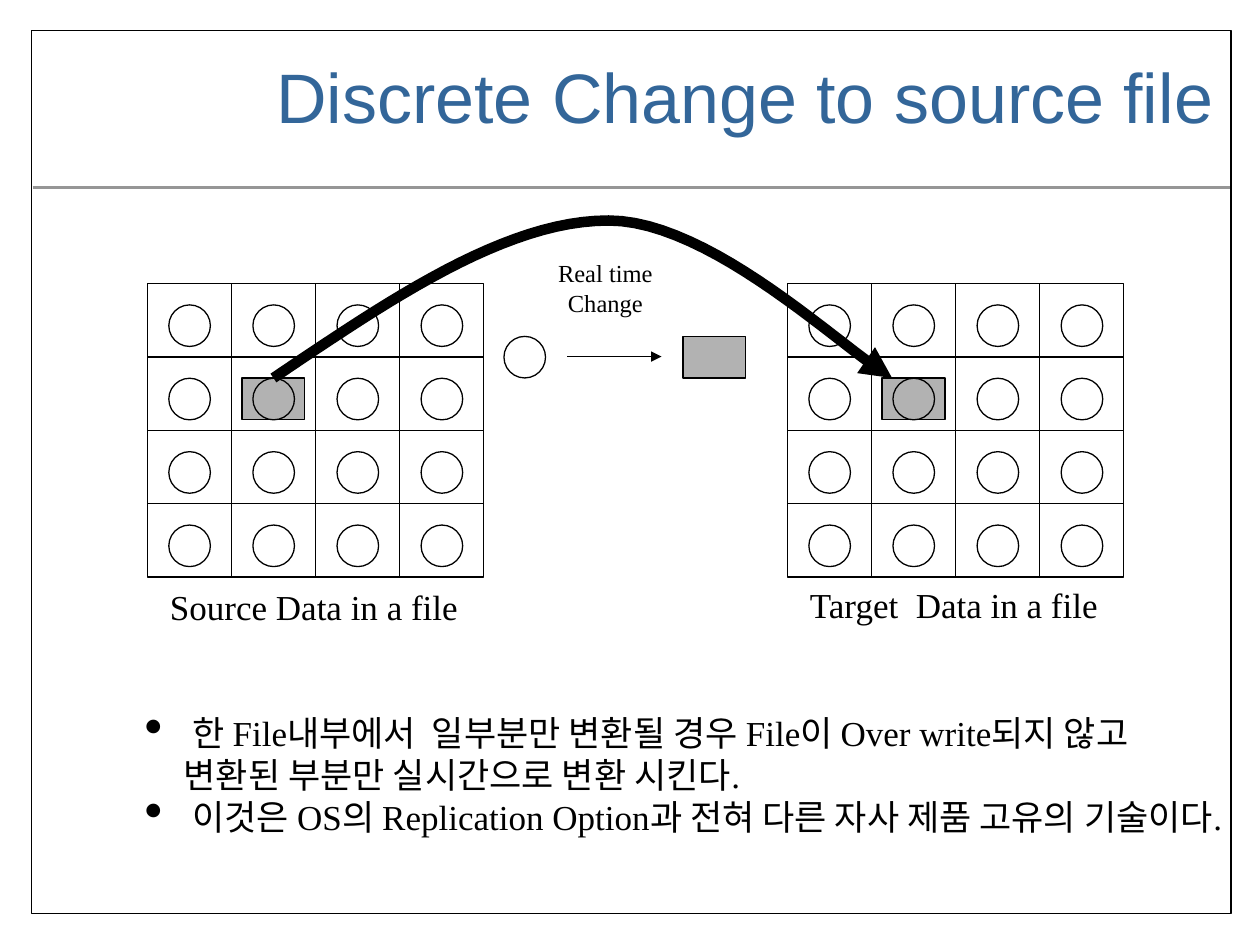
import pptx
import pptx.dml.color
import pptx.enum.shapes
import pptx.enum.text
import pptx.oxml
import pptx.oxml.ns
import pptx.util
from pptx.util import Inches

SHAPES = pptx.enum.shapes.MSO_SHAPE
ALIGN = pptx.enum.text.PP_ALIGN
ANCHOR = pptx.enum.text.MSO_ANCHOR
BLACK, GRAY, BLUE, RULE = "000000", "B2B2B2", "336699", "969696"
SERIF = "Times New Roman"
GRID_WIDTH, GRID_HEIGHT, CELLS = 2.67, 2.33, 4
CIRCLE = 0.33
MARK_WIDTH = 0.5
CURVE_STEPS = 24


def rgb(value):
    return pptx.dml.color.RGBColor.from_string(value)


def add_xml(parent, tag, **attributes):
    element = pptx.oxml.ns.qn(tag)
    child = parent.makeelement(element, attributes)
    parent.append(child)
    return child


def style_line(shape, color=BLACK, width=0.75, arrow=False):
    shape.line.color.rgb = rgb(color)
    shape.line.width = pptx.util.Pt(width)
    if arrow:
        add_xml(shape.line._get_or_add_ln(), "a:tailEnd", type="triangle")


def add_outline(shapes, kind, left, top, width, height, fill=None):
    shape = shapes.add_shape(kind, Inches(left), Inches(top), Inches(width), Inches(height))
    shape.shadow.inherit = False
    if fill:
        shape.fill.solid()
        shape.fill.fore_color.rgb = rgb(fill)
    else:
        shape.fill.background()
    style_line(shape)
    return shape


def add_line(shapes, start, end, color=BLACK, width=0.75, arrow=False):
    line = shapes.add_connector(
        pptx.enum.shapes.MSO_CONNECTOR.STRAIGHT,
        Inches(start[0]), Inches(start[1]), Inches(end[0]), Inches(end[1]))
    style_line(line, color, width, arrow)
    add_xml(line._element.spPr, "a:effectLst")
    return line


def add_text(shapes, left, top, width, height, lines, size, font=SERIF, color=BLACK,
             align=ALIGN.LEFT, wrap=False):
    box = shapes.add_textbox(Inches(left), Inches(top), Inches(width), Inches(height))
    frame = box.text_frame
    frame.word_wrap = wrap
    for index, line in enumerate(lines):
        para = frame.paragraphs[0] if index == 0 else frame.add_paragraph()
        para.alignment = align
        span = para.add_run()
        span.text = line
        span.font.size = pptx.util.Pt(size)
        span.font.name = font
        span.font.color.rgb = rgb(color)
    return box


def indent_paragraph(para, margin, bullet):
    properties = para._p.get_or_add_pPr()
    properties.set("marL", str(Inches(margin)))
    properties.set("indent", str(-Inches(margin) if bullet else 0))
    if bullet:
        color = add_xml(properties, "a:buClr")
        add_xml(color, "a:srgbClr", val=BLACK)
        add_xml(properties, "a:buSzPct", val="150000")
        add_xml(properties, "a:buChar", char="•")


def add_data_grid(slide, left, top):
    shapes = slide.shapes.add_group_shape().shapes
    cell_width, cell_height = GRID_WIDTH / CELLS, GRID_HEIGHT / CELLS
    right, bottom = left + GRID_WIDTH, top + GRID_HEIGHT
    add_outline(shapes, SHAPES.RECTANGLE, left + 0.75, top + 0.75, MARK_WIDTH, CIRCLE, GRAY)
    add_outline(shapes, SHAPES.RECTANGLE, left, top, GRID_WIDTH, GRID_HEIGHT)
    for index in range(1, CELLS):
        x, y = left + index * cell_width, top + index * cell_height
        add_line(shapes, (left, y), (right, y))
        add_line(shapes, (x, top), (x, bottom))
    for row in range(CELLS):
        for column in range(CELLS):
            add_outline(shapes, SHAPES.OVAL, left + 0.17 + column * cell_width,
                        top + 0.17 + row * cell_height, CIRCLE, CIRCLE)


def bezier_points(start, first, second, end):
    for step in range(1, CURVE_STEPS + 1):
        t = step / CURVE_STEPS
        weights = ((1 - t) ** 3, 3 * t * (1 - t) ** 2, 3 * t * t * (1 - t), t ** 3)
        corners = (start, first, second, end)
        yield tuple(Inches(sum(w * corner[axis] for w, corner in zip(weights, corners)))
                    for axis in (0, 1))


def add_curved_arrow(slide):
    start, peak, end = (2.17, 3), (4.83, 1.75), (7.08, 3)
    builder = slide.shapes.build_freeform(Inches(start[0]), Inches(start[1]))
    points = [*bezier_points(start, (3.09, 2.38), (4.01, 1.75), peak),
              *bezier_points(peak, (5.65, 1.75), (6.71, 2.79), end)]
    builder.add_line_segments(points, close=False)
    curve = builder.convert_to_shape()
    curve.shadow.inherit = False
    curve.fill.background()
    style_line(curve, width=6, arrow=True)


def add_title(slide):
    box = add_text(slide.shapes, 1.66, 0.47, 8.5, 0.68, ["Discrete Change to source file"],
                   40, "Arial", BLUE, ALIGN.CENTER, True)
    box.text_frame.vertical_anchor = ANCHOR.MIDDLE
    box.text_frame.paragraphs[0].line_spacing = 0.85


def add_legend(slide):
    shapes = slide.shapes
    add_text(shapes, 4.33, 2, 0.95, 0.57, ["Real time", "Change"], 14, align=ALIGN.CENTER)
    add_outline(shapes, SHAPES.OVAL, 4, 2.67, CIRCLE, CIRCLE)
    add_outline(shapes, SHAPES.RECTANGLE, 5.42, 2.67, MARK_WIDTH, CIRCLE, GRAY)
    add_line(shapes, (4.5, 2.83), (5.25, 2.83), arrow=True)


def add_notes_list(slide):
    items = [
        ("한 File내부에서  일부분만 변환될 경우 File이 Over write되지 않고", 0.38, True),
        ("변환된 부분만 실시간으로 변환 시킨다.", 0.31, False),
        ("이것은 OS의 Replication Option과 전혀 다른 자사 제품 고유의 기술이다.", 0.38, True),
    ]
    box = add_text(slide.shapes, 1.05, 5.6, 8.7, 1.4, [item[0] for item in items], 20, wrap=True)
    for para, (_, margin, bullet) in zip(box.text_frame.paragraphs, items):
        indent_paragraph(para, margin, bullet)


def main():
    deck = pptx.Presentation()
    deck.slide_width, deck.slide_height = Inches(10), Inches(7.5)
    slide = deck.slides.add_slide(deck.slide_layouts[6])
    add_line(slide.shapes, (0.26, 1.49), (9.76, 1.49), RULE, 1.5)
    add_outline(slide.shapes, SHAPES.RECTANGLE, 0.25, 0.24, 9.52, 7.01)
    add_title(slide)
    add_data_grid(slide, 1.17, 2.25)
    add_data_grid(slide, 6.25, 2.25)
    add_curved_arrow(slide)
    add_text(slide.shapes, 1.25, 4.6, 2.49, 0.44, ["Source Data in a file"], 20)
    add_text(slide.shapes, 6.33, 4.58, 2.51, 0.44, ["Target  Data in a file"], 20)
    add_legend(slide)
    add_notes_list(slide)
    deck.save("out.pptx")


if __name__ == "__main__":
    main()
